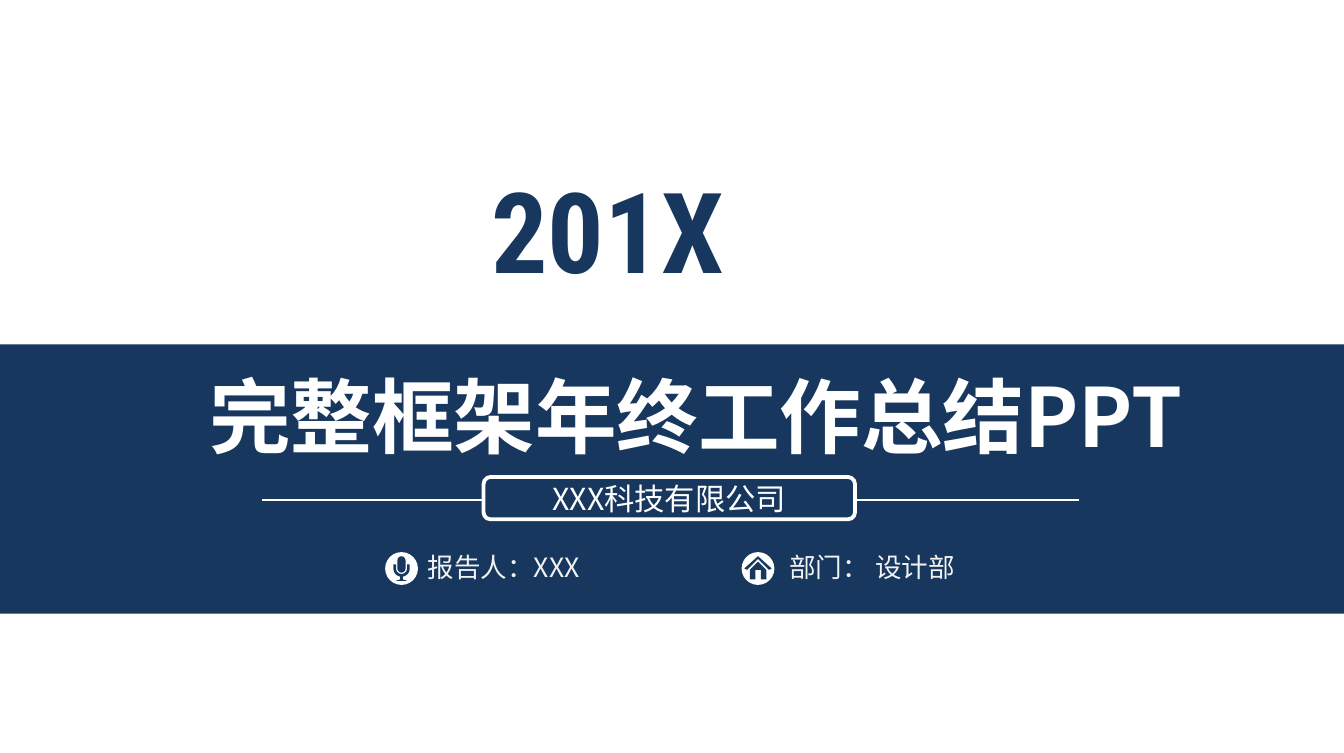
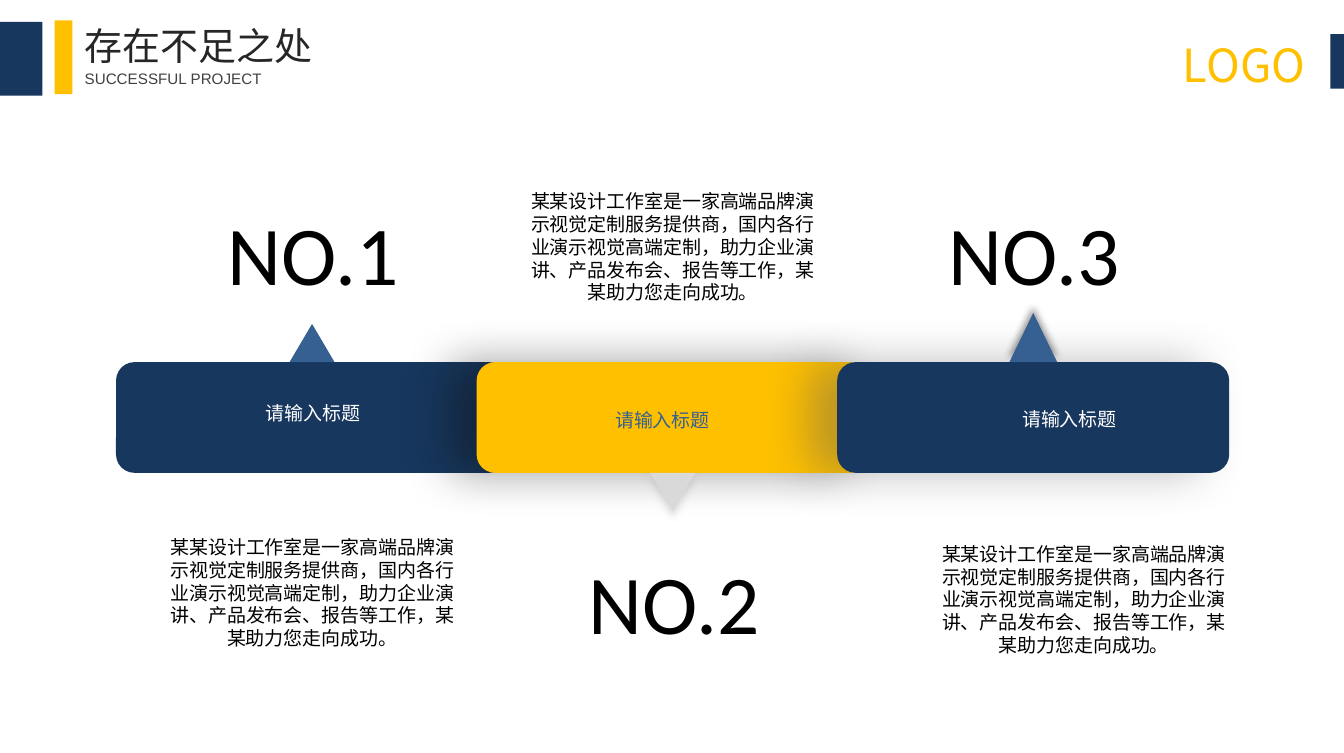
from dataclasses import dataclass
from math import cos, pi, sin

from lxml.etree import SubElement
from pptx import Presentation
from pptx.dml.color import RGBColor
from pptx.enum.shapes import MSO_CONNECTOR, MSO_SHAPE
from pptx.enum.text import MSO_ANCHOR, MSO_AUTO_SIZE, PP_ALIGN
from pptx.oxml.ns import qn
from pptx.shapes.autoshape import Shape
from pptx.shapes.shapetree import GroupShapes
from pptx.slide import Slide
from pptx.util import Inches, Pt

Box = tuple[float, float, float, float]
Point = tuple[float, float]


@dataclass(frozen=True)
class Style:
    size: float
    color: str
    font: str = "Noto Sans CJK SC"
    bold: bool = False
    align: PP_ALIGN = PP_ALIGN.LEFT
    leading: float | None = 1.2  # line height in ems, None for the font's own


@dataclass(frozen=True)
class Theme:
    width: float = 9.84
    height: float = 5.51
    navy: str = "17375E"
    blue: str = "376092"
    gold: str = "FFC000"
    white: str = "FFFFFF"
    grey: str = "D9D9D9"
    east_asian: str = "Noto Sans CJK SC"
    cover_title: Style = Style(43, "FFFFFF", bold=True, align=PP_ALIGN.CENTER)
    year: Style = Style(59, "17375E", "Roboto Condensed", bold=True, leading=None)
    company: Style = Style(16, "FFFFFF", align=PP_ALIGN.CENTER)
    detail: Style = Style(14, "F2F2F2")
    header: Style = Style(20, "262626", "Arial")
    subheader: Style = Style(8, "404040", "Arial", leading=None)
    logo: Style = Style(24, "FFC000")
    number: Style = Style(44, "000000", "Calibri", leading=None)
    body: Style = Style(10, "000000", align=PP_ALIGN.CENTER)
    label: Style = Style(10, "FFFFFF", align=PP_ALIGN.CENTER)
    gold_label: Style = Style(10, "376092", align=PP_ALIGN.CENTER)


THEME = Theme()
INSET: Point = (0.1, 0.05)
BODY_INSET: Point = (0.15, 0.05)
SMALL_INSET: Point = (0.07, 0.04)
NO_INSET: Point = (0, 0)


@dataclass(frozen=True)
class Shadow:
    color: str
    blur: float
    distance: float
    degrees: int
    opacity: int = 40


@dataclass(frozen=True)
class Pointer:
    width: float
    height: float
    color: str
    down: bool = False
    shadow: Shadow | None = None


@dataclass(frozen=True)
class Card:
    number: str
    number_top: float
    body_at: Point
    label_at: Point
    label_style: Style
    fill: str
    pointer: Pointer
    shadow: Shadow | None = None


BODY = ("某某设计工作室是一家高端品牌演示视觉定制服务提供商，国内各行业演示视觉高端定制，"
        "助力企业演讲、产品发布会、报告等工作，某某助力您走向成功。")
CARDS = [
    Card("NO.1", 1.43, (1.08, 3.87), (1.84, 2.89), THEME.label, THEME.navy,
         Pointer(0.33, 0.28, THEME.blue)),
    Card("NO.2", 3.98, (3.72, 1.34), (4.4, 2.94), THEME.gold_label, THEME.gold,
         Pointer(0.33, 0.28, THEME.grey, True, Shadow("A6A6A6", 4, 3, 90)),
         Shadow("0D0D0D", 24, 15, 180)),
    Card("NO.3", 1.43, (6.73, 3.92), (7.38, 2.93), THEME.label, THEME.navy,
         Pointer(0.35, 0.36, THEME.blue, False, Shadow("000000", 4, 3, 270)),
         Shadow("595959", 24, 15, 180)),
]


# Shared drawing functions
def write(shape: Shape, text: str, style: Style, inset: Point = INSET,
          anchor: MSO_ANCHOR = MSO_ANCHOR.TOP) -> None:
    frame = shape.text_frame
    frame.word_wrap = True
    frame.auto_size = MSO_AUTO_SIZE.NONE
    frame.vertical_anchor = anchor
    frame.margin_left = frame.margin_right = Inches(inset[0])
    frame.margin_top = frame.margin_bottom = Inches(inset[1])
    frame.text = text
    para = frame.paragraphs[0]
    para.alignment = style.align
    if style.leading:
        para.line_spacing = Pt(style.size * style.leading)
    for span in para.runs:
        span.font.size = Pt(style.size)
        span.font.bold = style.bold
        span.font.name = style.font
        span.font.color.rgb = RGBColor.from_string(style.color)
        SubElement(span._r.get_or_add_rPr(), qn("a:ea"), typeface=THEME.east_asian)


def add_text(slide: Slide, at: Box, text: str, style: Style, inset: Point = INSET,
             anchor: MSO_ANCHOR = MSO_ANCHOR.TOP) -> None:
    box = slide.shapes.add_textbox(*map(Inches, at))
    write(box, text, style, inset, anchor)


def place_title(slide: Slide, at: Box, text: str, style: Style, inset: Point,
                anchor: MSO_ANCHOR) -> None:
    title = slide.shapes.title
    title.left, title.top, title.width, title.height = map(Inches, at)
    write(title, text, style, inset, anchor)
    slide.shapes.element.append(title.element)  # bring to the front


def paint(shape: Shape, fill: str) -> Shape:
    shape.shadow.inherit = False
    shape.fill.solid()
    shape.fill.fore_color.rgb = RGBColor.from_string(fill)
    shape.line.fill.background()
    return shape


def add_shape(shapes: GroupShapes, kind: MSO_SHAPE, at: Box, fill: str) -> Shape:
    return paint(shapes.add_shape(kind, *map(Inches, at)), fill)


def add_polygon(shapes: GroupShapes, center: Point, points: list[Point], fill: str) -> None:
    corners = [(Inches(center[0] + x), Inches(center[1] + y)) for x, y in points]
    builder = shapes.build_freeform(*corners[0])
    builder.add_line_segments(corners[1:], close=True)
    paint(builder.convert_to_shape(), fill)


def cast_shadow(shape: Shape, shadow: Shadow | None) -> None:
    if shadow is None:
        return
    effects = shape.element.spPr.find(qn("a:effectLst"))
    outer = SubElement(effects, qn("a:outerShdw"), blurRad=str(Pt(shadow.blur)),
                       dist=str(Pt(shadow.distance)), dir=str(shadow.degrees * 60000),
                       algn="ctr", rotWithShape="0")
    color = SubElement(outer, qn("a:srgbClr"), val=shadow.color)
    SubElement(color, qn("a:alpha"), val=str(shadow.opacity * 1000))


# Cover icons
def add_disc(slide: Slide, center: Point) -> GroupShapes:
    shapes = slide.shapes.add_group_shape().shapes
    x, y = center
    add_shape(shapes, MSO_SHAPE.OVAL, (x - 0.12, y - 0.12, 0.24, 0.24), THEME.white)
    return shapes


def add_microphone(slide: Slide, center: Point) -> None:
    shapes = add_disc(slide, center)
    x, y = center
    capsule = add_shape(shapes, MSO_SHAPE.ROUNDED_RECTANGLE,
                        (x - 0.03, y - 0.09, 0.06, 0.12), THEME.navy)
    capsule.adjustments[0] = 0.5
    angles = [pi * step / 12 for step in range(13)]
    outer = [(0.06 * cos(a), 0.06 * sin(a)) for a in angles]
    inner = [(0.04 * cos(a), 0.04 * sin(a)) for a in reversed(angles)]
    cup = [(0.06, -0.03), *outer, (-0.06, -0.03), (-0.04, -0.03), *inner, (0.04, -0.03)]
    add_polygon(shapes, center, cup, THEME.navy)
    stand = [(-0.01, 0.05), (0.01, 0.05), (0.01, 0.08), (0.04, 0.09), (-0.04, 0.09), (-0.01, 0.08)]
    add_polygon(shapes, center, stand, THEME.navy)


def add_house(slide: Slide, center: Point) -> None:
    shapes = add_disc(slide, center)
    roof = [(-0.1, 0), (0, -0.09), (0.1, 0), (0.08, 0.01), (0, -0.07), (-0.08, 0.01)]
    walls = [(-0.06, 0.01), (0, -0.05), (0.06, 0.01), (0.06, 0.08), (0.02, 0.08),
             (0.02, 0.01), (-0.02, 0.01), (-0.02, 0.08), (-0.06, 0.08)]
    for outline in (roof, walls):
        add_polygon(shapes, center, outline, THEME.navy)


def build_cover(slide: Slide) -> None:
    # Band, title and year
    add_shape(slide.shapes, MSO_SHAPE.RECTANGLE, (0, 2.52, THEME.width, 1.97), THEME.navy)
    place_title(slide, (1.14, 2.63, 7.91, 0.82), "完整框架年终工作总结PPT",
                THEME.cover_title, INSET, MSO_ANCHOR.TOP)
    add_text(slide, (3.5, 1.13, 2.62, 1.15), "201X", THEME.year)

    # Company plate over a long rule
    rule = slide.shapes.add_connector(MSO_CONNECTOR.STRAIGHT,
                                      *map(Inches, (1.92, 3.66, 7.9, 3.66)))
    rule.line.color.rgb = RGBColor.from_string(THEME.white)
    rule.line.width = Pt(1)
    SubElement(rule.element.spPr, qn("a:effectLst"))
    plate = add_shape(slide.shapes, MSO_SHAPE.ROUNDED_RECTANGLE,
                      (3.54, 3.49, 2.72, 0.31), THEME.navy)
    plate.line.color.rgb = RGBColor.from_string(THEME.white)
    plate.line.width = Pt(2)
    write(plate, "XXX科技有限公司", THEME.company, NO_INSET, MSO_ANCHOR.MIDDLE)

    # Speaker and department
    add_microphone(slide, (2.94, 4.16))
    add_text(slide, (3.06, 3.99, 1.4, 0.31), "报告人：XXX", THEME.detail, SMALL_INSET)
    add_house(slide, (5.55, 4.16))
    add_text(slide, (5.71, 3.99, 1.4, 0.31), "部门： 设计部", THEME.detail, SMALL_INSET)


def add_header(slide: Slide, title: str, subtitle: str) -> None:
    for at, fill in (((0, 0.16, 0.31, 0.54), THEME.navy),
                     ((0.4, 0.15, 0.13, 0.54), THEME.gold),
                     ((9.74, 0.25, 0.1, 0.4), THEME.navy)):
        add_shape(slide.shapes, MSO_SHAPE.RECTANGLE, at, fill)
    add_text(slide, (8.59, 0.23, 1.25, 0.48), "LOGO", THEME.logo, SMALL_INSET)
    place_title(slide, (0.62, 0.16, 1.77, 0.34), title, THEME.header, NO_INSET, MSO_ANCHOR.MIDDLE)
    add_text(slide, (0.62, 0.51, 1.77, 0.13), subtitle, THEME.subheader,
             NO_INSET, MSO_ANCHOR.MIDDLE)


def add_card(slide: Slide, card: Card, left: float) -> None:
    top, width, height = 2.65, 2.87, 0.81
    add_text(slide, (left + 0.72, card.number_top, 1.47, 0.84), card.number, THEME.number)
    add_text(slide, (*card.body_at, 2.41, 0.96), BODY, THEME.body, BODY_INSET)
    bar = add_shape(slide.shapes, MSO_SHAPE.ROUNDED_RECTANGLE,
                    (left, top, width, height), card.fill)
    cast_shadow(bar, card.shadow)
    pointer = card.pointer
    pointer_top = top + height if pointer.down else top - pointer.height
    triangle = add_shape(slide.shapes, MSO_SHAPE.ISOSCELES_TRIANGLE,
                         (left + (width - pointer.width) / 2, pointer_top,
                          pointer.width, pointer.height), pointer.color)
    triangle.rotation = 180 if pointer.down else 0
    cast_shadow(triangle, pointer.shadow)
    add_text(slide, (*card.label_at, 0.9, 0.27), "请输入标题", card.label_style, (0, 0.05))


def build_shortcomings(slide: Slide) -> None:
    for index, card in enumerate(CARDS):
        add_card(slide, card, 0.85 + 2.64 * index)
    add_header(slide, "存在不足之处", "SUCCESSFUL PROJECT")


def main() -> None:
    deck = Presentation()
    deck.slide_width, deck.slide_height = Inches(THEME.width), Inches(THEME.height)
    title_only = deck.slide_layouts[5]
    for build in (build_cover, build_shortcomings):
        build(deck.slides.add_slide(title_only))
    deck.save("out.pptx")


if __name__ == "__main__":
    main()
